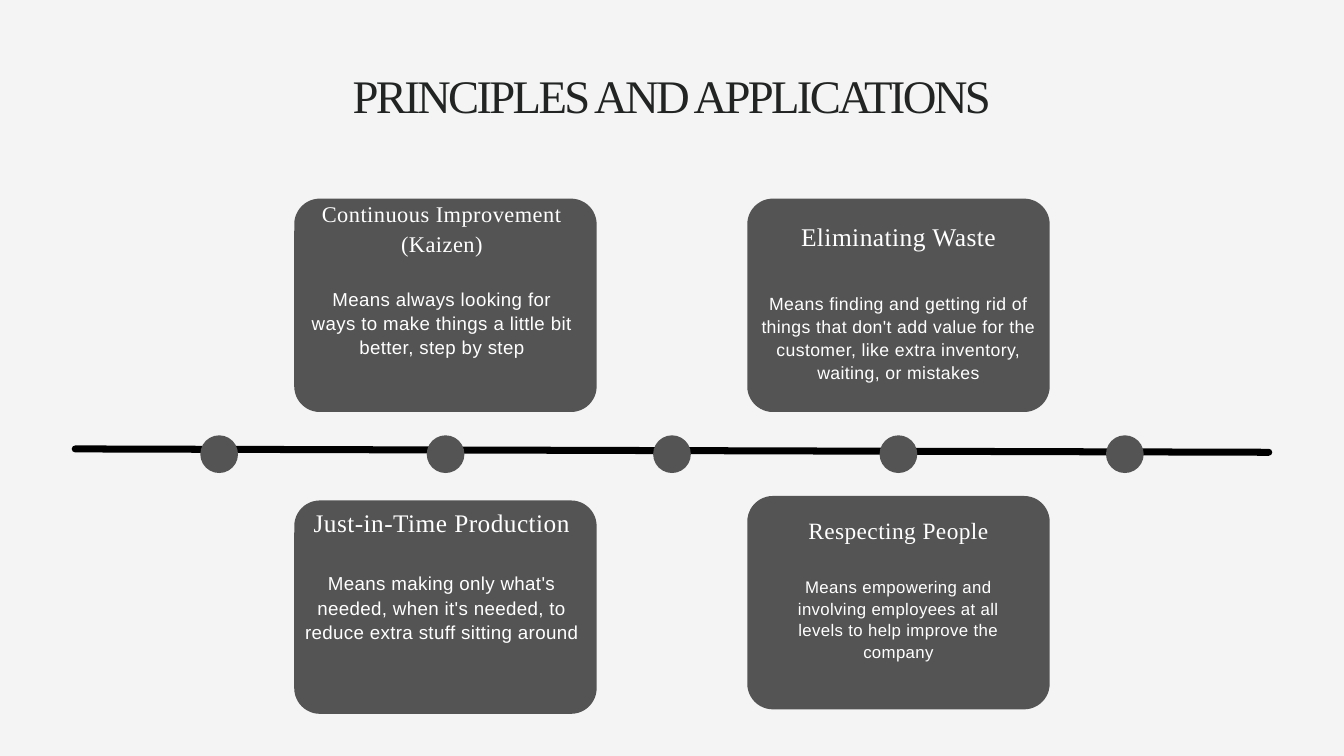
from lxml.etree import SubElement
from pptx import Presentation
from pptx.dml.color import RGBColor
from pptx.enum.shapes import MSO_CONNECTOR, MSO_SHAPE
from pptx.enum.text import MSO_ANCHOR, MSO_AUTO_SIZE, PP_ALIGN
from pptx.oxml.ns import qn
from pptx.util import Pt

SLIDE_W, SLIDE_H = 1440, 810
GREY, WHITE, INK = "545454", "FFFFFF", "212423"
SERIF, SANS = "Times New Roman", "Arial"
CARD_W, CARD_H = 324, 228.6
CARD_LEFT = 315.3
CARD_RIGHT = SLIDE_W - CARD_LEFT - CARD_W
DOT, DOT_STEP, DOT_MIDDLE = 40.4, 242.6, 486.6

# Each card: corner, text box, heading and body as (text, size, line height), gap between
PRINCIPLES = [
    dict(corner=(CARD_LEFT, 536.2), box=(319.7, 540.7, 307.4, 177.1),
         heading=("Just-in-Time Production", 27.1, 35.2), gap=35.2,
         body=("Means making only what's needed, when it's needed, to reduce "
               "extra stuff sitting around", 20.1, 26.1)),
    dict(corner=(CARD_LEFT, 212.8), box=(331.2, 212.4, 284.4, 223.2),
         heading=("Continuous Improvement (Kaizen)", 24, 31.2), gap=31.2,
         body=("Means always looking for ways to make things a little bit "
               "better, step by step", 20, 26)),
    dict(corner=(CARD_RIGHT, 212.8), box=(815.8, 234, 293.8, 180),
         heading=("Eliminating Waste", 27.3, 35.5), gap=42.8,
         body=("Means finding and getting rid of things that don't add value for "
               "the customer, like extra inventory, waiting, or mistakes", 18.9, 24.6)),
    dict(corner=(CARD_RIGHT, 531.4), box=(835.2, 550.8, 254.9, 161.3),
         heading=("Respecting People", 25, 32.5), gap=32.5,
         body=("Means empowering and involving employees at all levels to help "
               "improve the company", 18, 23.4)),
]


def color(hex_value):
    return RGBColor.from_string(hex_value)


def add_solid(slide, kind, left, top, width, height):
    solid = slide.shapes.add_shape(kind, Pt(left), Pt(top), Pt(width), Pt(height))
    solid.shadow.inherit = False
    solid.fill.solid()
    solid.fill.fore_color.rgb = color(GREY)
    solid.line.fill.background()
    return solid


def prepare_frame(frame):
    settings = dict(word_wrap=True, auto_size=MSO_AUTO_SIZE.NONE,
                    vertical_anchor=MSO_ANCHOR.TOP, margin_left=0, margin_top=0,
                    margin_right=0, margin_bottom=0)
    for name, value in settings.items():
        setattr(frame, name, value)


def write(paragraph, text, size, line_height, font, hex_value, tracking, before=0):
    layout = dict(alignment=PP_ALIGN.CENTER, line_spacing=Pt(line_height),
                  space_before=Pt(before), space_after=Pt(0))
    for name, value in layout.items():
        setattr(paragraph, name, value)
    run = paragraph.add_run()
    run.text = text
    for name, value in dict(size=Pt(size), name=font, bold=False).items():
        setattr(run.font, name, value)
    run.font.color.rgb = color(hex_value)
    run._r.get_or_add_rPr().set("spc", str(round(tracking * 100)))


def add_title(slide):
    title = slide.shapes.title
    place = dict(left=167.8, top=82.1, width=1103.8, height=59)
    for name, value in place.items():
        setattr(title, name, Pt(value))
    prepare_frame(title.text_frame)
    write(title.text_frame.paragraphs[0], "PRINCIPLES AND APPLICATIONS",
          50, 49, SERIF, INK, -2.9)


def add_timeline(slide):
    axis = slide.shapes.add_connector(MSO_CONNECTOR.STRAIGHT, Pt(80.6), Pt(481),
                                      Pt(1359.4), Pt(484.6))
    axis.line.width = Pt(7.5)
    axis.line.color.rgb = color("000000")
    axis.line._get_or_add_ln().set("cap", "rnd")
    SubElement(axis._element.spPr, qn("a:effectLst"))
    for step in range(-2, 3):
        add_solid(slide, MSO_SHAPE.OVAL, SLIDE_W / 2 + step * DOT_STEP - DOT / 2,
                  DOT_MIDDLE - DOT / 2, DOT, DOT)


def add_card(slide, corner, box, heading, gap, body):
    card = add_solid(slide, MSO_SHAPE.ROUNDED_RECTANGLE, *corner, CARD_W, CARD_H)
    card.adjustments[0] = 0.12
    frame = slide.shapes.add_textbox(*map(Pt, box)).text_frame
    prepare_frame(frame)
    write(frame.paragraphs[0], *heading, SERIF, WHITE, 0.5)
    write(frame.add_paragraph(), *body, SANS, WHITE, 0.4, before=gap)


def main():
    deck = Presentation()
    deck.slide_width, deck.slide_height = Pt(SLIDE_W), Pt(SLIDE_H)
    slide = deck.slides.add_slide(deck.slide_layouts[5])
    slide.background.fill.solid()
    slide.background.fill.fore_color.rgb = color("F4F4F4")

    add_title(slide)
    add_timeline(slide)
    for principle in PRINCIPLES:
        add_card(slide, **principle)

    deck.save("out.pptx")


if __name__ == "__main__":
    main()
